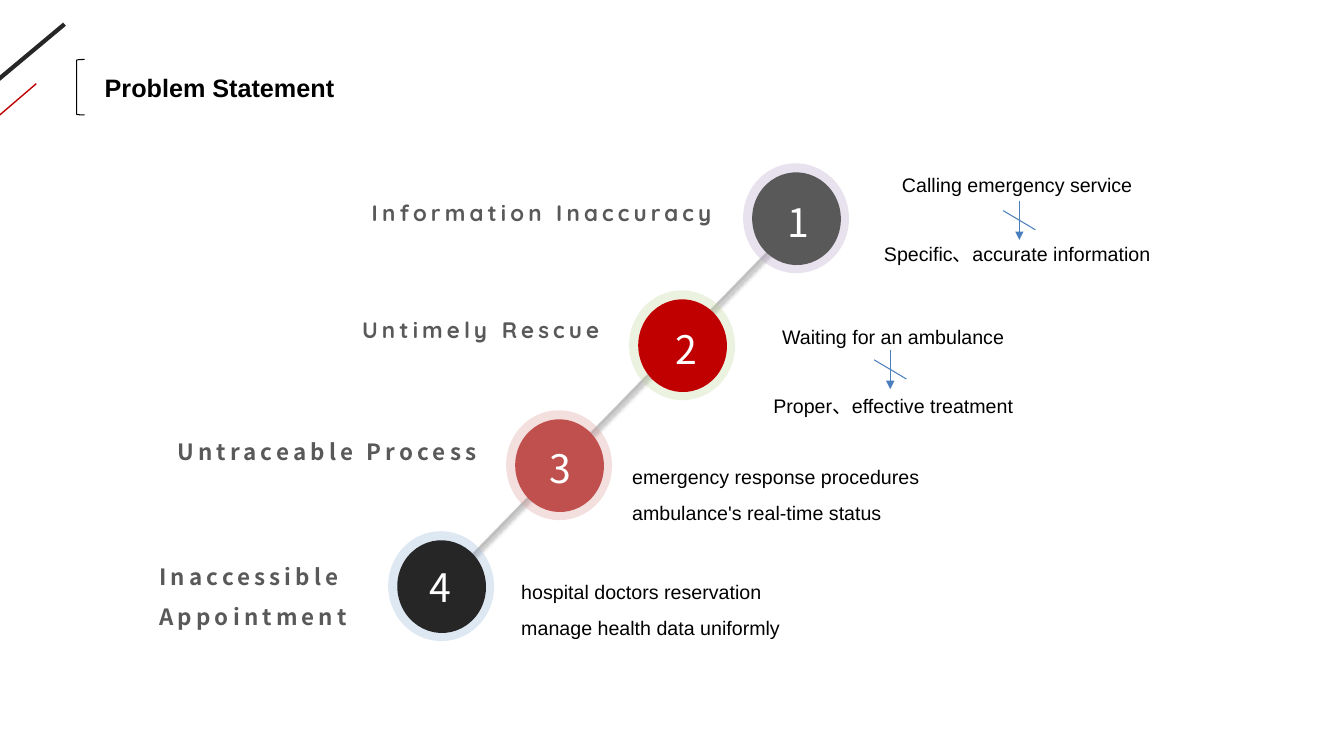
from lxml import etree
from pptx import Presentation
from pptx.dml.color import RGBColor
from pptx.enum.shapes import MSO_CONNECTOR, MSO_SHAPE
from pptx.enum.text import PP_ALIGN
from pptx.oxml.ns import qn
from pptx.util import Inches, Pt

LINE = MSO_CONNECTOR.STRAIGHT
OVAL = MSO_SHAPE.OVAL
BRACKET = MSO_SHAPE.LEFT_BRACKET
LEFT, CENTER = PP_ALIGN.LEFT, PP_ALIGN.CENTER

COLORS = {
    "black": "000000", "white": "FFFFFF", "dark": "262626", "gray": "595959",
    "red": "C00000", "rose": "C0504D", "silver": "BFBFBF", "arrow": "4B7EBC",
    "halo_purple": "B3A2C7", "halo_green": "C3D69B",
    "halo_pink": "D99694", "halo_blue": "95B3D7",
}
SANS, CJK, ROUND = "Arial", "Noto Sans CJK SC", "Quicksand"
HEADING = {"name": SANS, "size": Pt(18), "bold": True}
NUMBER = {"name": CJK, "size": Pt(28)}
DETAIL = {"name": SANS, "size": Pt(14)}
LABEL = {"size": Pt(16), "bold": True}
WIDE_INSETS = (0.24, 0.12)
TILT = -4.7

# halo position, disc colour, halo colour, number offset,
# label (box, font, lines, alignment), detail (box, lines, alignment, gap)
STEPS = [
    ((7.37, 1.62), "gray", "halo_purple", (0.34, 0.3),
     ((3.41, 1.72, 3.93, 0.59), ROUND, ["Information Inaccuracy"], CENTER),
     ((8.26, 1.48, 3.66, 1.3),
      ["Calling emergency service", "Specific、accurate information"], CENTER, 24)),
    ((6.24, 2.88), "red", "halo_green", (0.36, 0.3),
     ((3.3, 2.88, 2.94, 0.59), ROUND, ["Untimely Rescue"], CENTER),
     ((7.03, 2.99, 3.66, 1.26),
      ["Waiting for an ambulance", "Proper、effective treatment"], CENTER, 24)),
    ((5.02, 4.07), "rose", "halo_pink", (0.33, 0.29),
     ((1.52, 4.09, 3.57, 0.6), CJK, ["Untraceable Process"], LEFT),
     ((6.03, 4.38, 3.66, 0.91),
      ["emergency response procedures ambulance's real-time status"], LEFT, 0)),
    ((3.85, 5.27), "dark", "halo_blue", (0.31, 0.27),
     ((1.34, 5.33, 2.5, 1), CJK, ["Inaccessible", "Appointment"], LEFT),
     ((4.93, 5.52, 3.9, 0.95),
      ["hospital doctors reservation", "manage health data uniformly"], LEFT, 0)),
]
BLOCKED_ARROWS = [(10.11, 1.99), (8.83, 3.47)]


def rgb(name):
    return RGBColor.from_string(COLORS[name])


def add_line(slide, start, end, color, width):
    """Draw a straight line and return it with its empty effect list."""
    ends = [Inches(v) for v in (*start, *end)]
    sp = slide.shapes.add_connector(LINE, *ends)
    sp.line.color.rgb = rgb(color)
    sp.line.width = Pt(width)
    effects = etree.SubElement(sp._element.spPr, qn("a:effectLst"))
    return sp, effects


def add_text(slide, box, lines, fmt, color="black", align=LEFT, insets=(0.1, 0.05),
             spacing=1, gap=0, tracking=0, wrap=True):
    tf = slide.shapes.add_textbox(*map(Inches, box)).text_frame
    tf.word_wrap = wrap
    tf.margin_left = tf.margin_right = Inches(insets[0])
    tf.margin_top = tf.margin_bottom = Inches(insets[1])
    for i, line in enumerate(lines):
        p = tf.paragraphs[0] if i == 0 else tf.add_paragraph()
        p.alignment = align
        p.line_spacing = spacing
        p.space_before = Pt(gap if i else 0)
        r = p.add_run()
        r.text = line
        for key, value in fmt.items():
            setattr(r.font, key, value)
        r.font.color.rgb = rgb(color)
        if tracking:
            r._r.get_or_add_rPr().set("spc", str(tracking * 100))


def add_disc(slide, box, color, opacity=100):
    sp = slide.shapes.add_shape(OVAL, *map(Inches, box))
    sp.shadow.inherit = False
    sp.rotation = TILT
    sp.fill.solid()
    sp.fill.fore_color.rgb = rgb(color)
    sp.line.fill.background()
    if opacity < 100:
        clr = sp._element.spPr.find(qn("a:solidFill"))[0]
        etree.SubElement(clr, qn("a:alpha"), val=str(opacity * 1000))


def add_header(slide, x, y):
    """Corner strokes, bracket and heading; x, y is the bracket's corner."""
    add_line(slide, (x - 0.12, y - 0.35), (x - 0.97, y + 0.36), "dark", 3)
    add_line(slide, (x - 0.4, y + 0.24), (x - 0.82, y + 0.6), "red", 1)
    sp = slide.shapes.add_shape(BRACKET, *map(Inches, (x, y, 0.08, 0.55)))
    sp.shadow.inherit = False
    sp.fill.background()
    sp.line.color.rgb = rgb("black")
    sp.line.width = Pt(0.75)
    add_text(slide, (x + 0.18, y + 0.08, 2.64, 0.4), ["Problem Statement"], HEADING)


def add_diagonal(slide, start, end):
    """The stair line with a soft shadow below it."""
    _, effects = add_line(slide, start, end, "silver", 2)
    shadow = etree.SubElement(effects, qn("a:outerShdw"), blurRad=str(Pt(3.1)),
                              dist=str(Pt(1.6)), dir="5400000", rotWithShape="0")
    clr = etree.SubElement(shadow, qn("a:srgbClr"), val=COLORS["black"])
    etree.SubElement(clr, qn("a:alpha"), val="38000")


def add_step(slide, number, corner, disc, halo, offset, label, detail):
    x, y = corner
    add_disc(slide, (x, y, 1.05, 1.09), halo, 30)
    add_disc(slide, (x + 0.09, y + 0.09, 0.88, 0.92), disc)
    add_text(slide, (x + offset[0], y + offset[1], 0.64, 0.57), [str(number)],
             NUMBER, "white")
    box, font, lines, align = label
    add_text(slide, box, lines, {**LABEL, "name": font}, "gray", align,
             WIDE_INSETS, 1.5, tracking=3, wrap=False)
    box, lines, align, gap = detail
    add_text(slide, box, lines, DETAIL, "black", align, WIDE_INSETS, 1.5, gap)


def add_blocked_arrow(slide, x, y):
    """A downward arrow from x, y, struck through."""
    arrow, _ = add_line(slide, (x, y), (x, y + 0.39), "arrow", 0.75)
    etree.SubElement(arrow.line._get_or_add_ln(), qn("a:tailEnd"), type="triangle")
    add_line(slide, (x - 0.16, y + 0.1), (x + 0.16, y + 0.29), "arrow", 0.75)


def main():
    prs = Presentation()
    prs.slide_width, prs.slide_height = Inches(13.33), Inches(7.5)
    slide = prs.slides.add_slide(prs.slide_layouts[6])
    add_header(slide, 0.76, 0.59)
    add_diagonal(slide, (4.19, 6.02), (8.08, 2.03))
    for number, step in enumerate(STEPS, 1):
        add_step(slide, number, *step)
    for x, y in BLOCKED_ARROWS:
        add_blocked_arrow(slide, x, y)
    prs.save("out.pptx")


if __name__ == "__main__":
    main()
